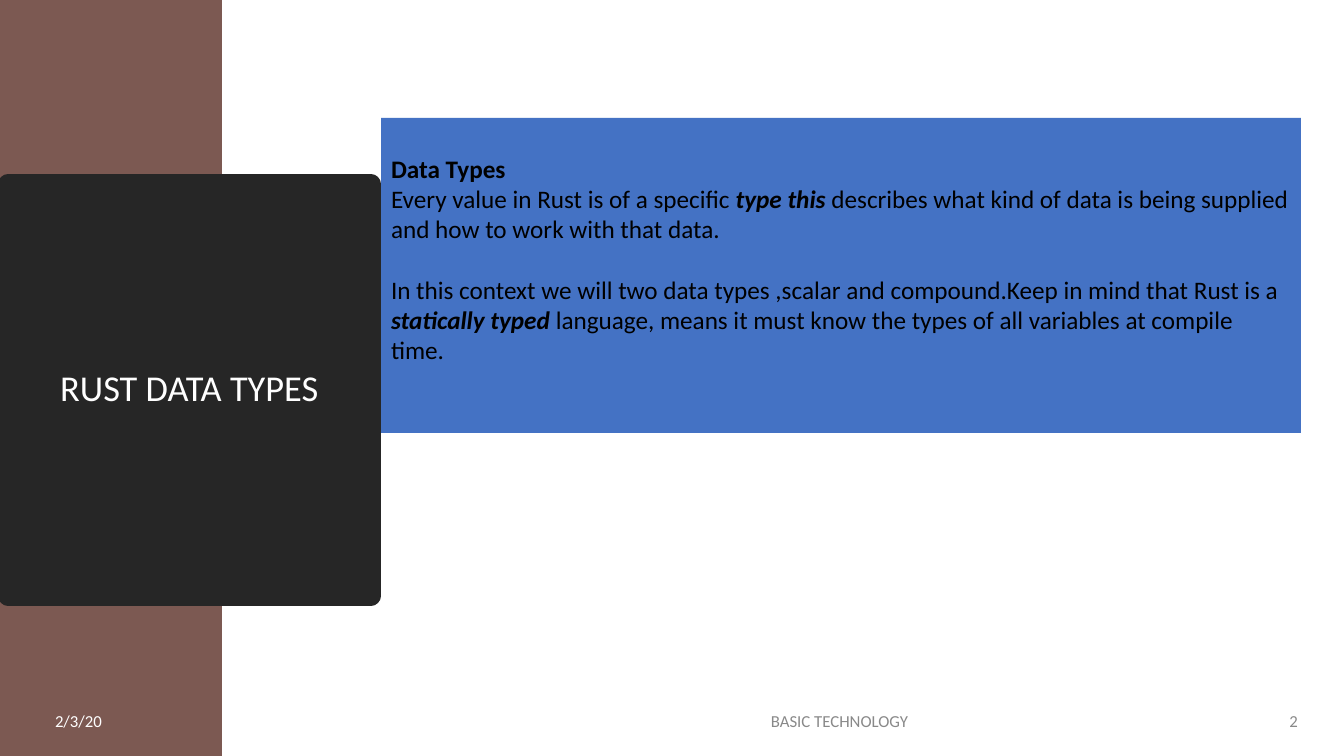
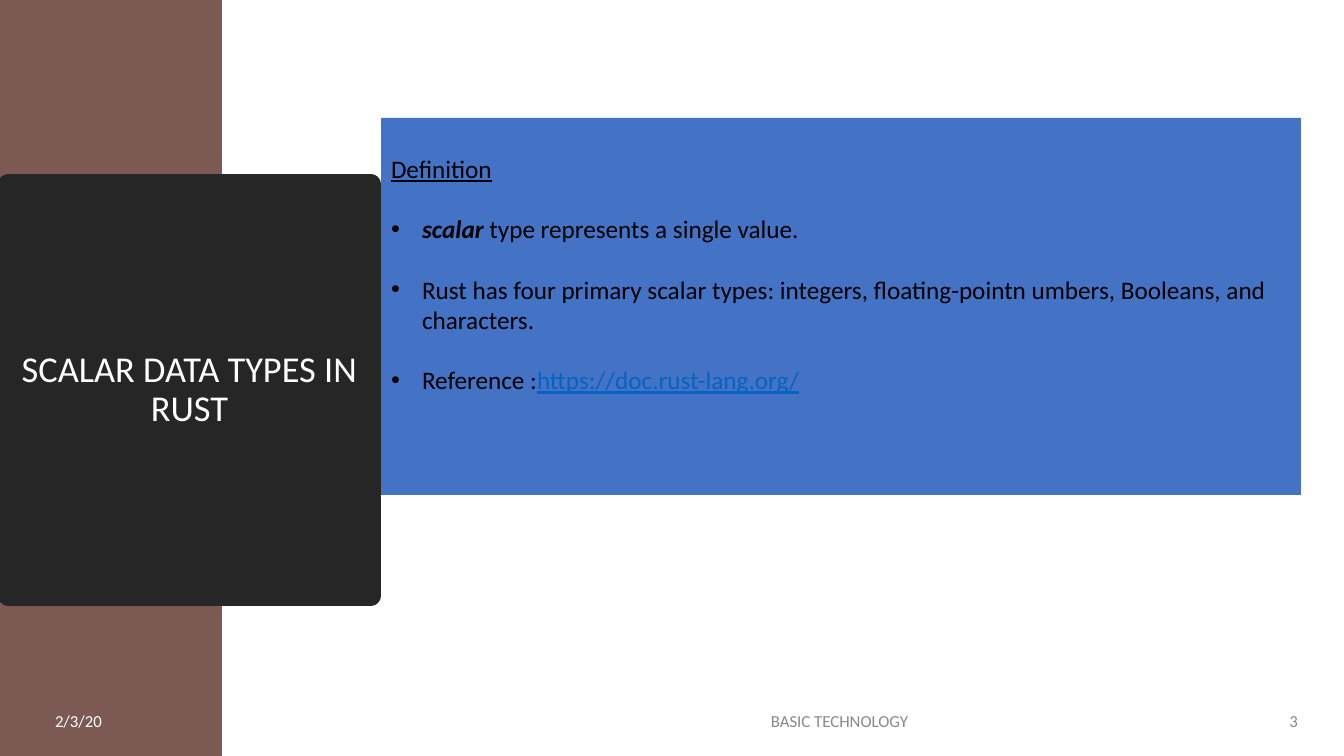
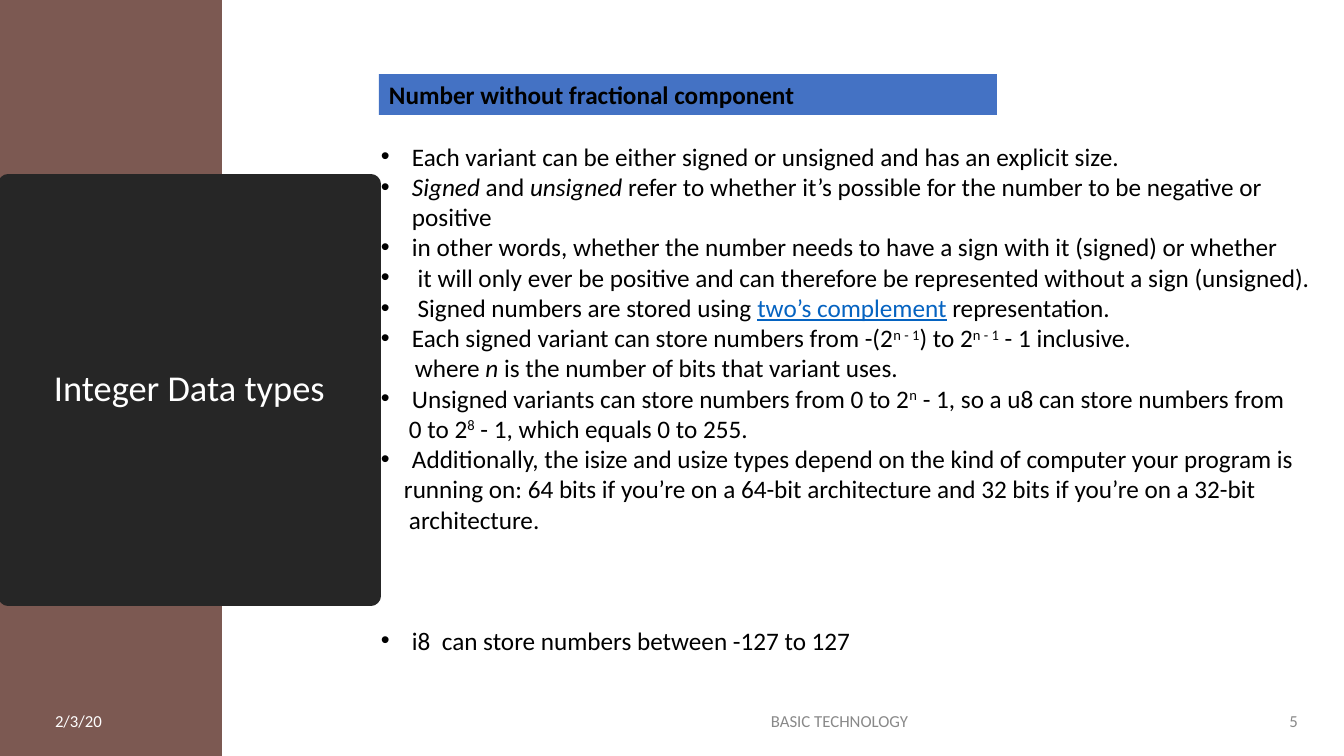
import pptx
import pptx.util
import pptx.dml.color
import pptx.enum.shapes
import pptx.enum.text
import pptx.oxml
import pptx.oxml.ns

PAGE_WIDTH, PAGE_HEIGHT = 1344, 756
EMU_PER_PX = 914400 / 100.8
FONT = "Calibri"
COLOURS = {
    "band": "7C5952",
    "title": "262626",
    "panel": "4472C4",
    "white": "FFFFFF",
    "black": "000000",
    "footer": "898989",
    "link": "0563C1",
}
BULLET_INDENT = 31
BLANK_LINE = 21.6
PANEL_TOP_INSET = 35

ALIGN = pptx.enum.text.PP_ALIGN
ANCHOR = pptx.enum.text.MSO_ANCHOR
RECTANGLE = pptx.enum.shapes.MSO_SHAPE.RECTANGLE


def px(length):
    return pptx.util.Emu(round(length * EMU_PER_PX))


def rgb(name):
    return pptx.dml.color.RGBColor.from_string(COLOURS[name])


def make_element(tag, **attributes):
    element = pptx.oxml.parse_xml(f"<a:{tag} {pptx.oxml.ns.nsdecls('a')}/>")
    for name, value in attributes.items():
        element.set(name, str(value))
    return element


def para(*spans, bullet=False, indent=0, before=0):
    """Describe a paragraph; a span is a string or a (text, style) pair."""
    return {"spans": spans, "bullet": bullet, "indent": indent, "before": before}


def bullet(*spans, before=0):
    return para(*spans, bullet=True, indent=BULLET_INDENT, before=before)


def set_indent(paragraph, indent, has_bullet):
    properties = paragraph._p.get_or_add_pPr()
    properties.set("marL", str(px(indent)))
    properties.set("indent", str(-px(indent) if has_bullet else 0))
    if has_bullet:
        properties.append(make_element("buFont", typeface="Arial"))
        properties.append(make_element("buChar", char="•"))


def add_span(paragraph, text, style, size, colour):
    span = paragraph.add_run()
    span.text = text
    font = span.font
    font.name = FONT
    font.size = pptx.util.Pt(size)
    font.bold = "bold" in style
    font.italic = "italic" in style
    font.underline = "underline" in style or "link" in style
    font.color.rgb = rgb("link" if "link" in style else colour)
    if "super" in style:
        span._r.get_or_add_rPr().set("baseline", "30000")


def write_text(box, content, size=18, colour="black", align=ALIGN.LEFT,
               anchor=ANCHOR.TOP, line_spacing=1.0, top_inset=5):
    """Fill a box with one string or a list of paragraph descriptions."""
    frame = box.text_frame
    frame.word_wrap = True
    frame.vertical_anchor = anchor
    frame.margin_left = frame.margin_right = px(10)
    frame.margin_top, frame.margin_bottom = px(top_inset), px(5)
    paragraphs = [para(content)] if isinstance(content, str) else content
    for index, item in enumerate(paragraphs):
        paragraph = frame.add_paragraph() if index else frame.paragraphs[0]
        paragraph.alignment = align
        paragraph.line_spacing = line_spacing
        if item["before"]:
            paragraph.space_before = pptx.util.Pt(item["before"])
        set_indent(paragraph, item["indent"], item["bullet"])
        for span in item["spans"]:
            text, style = (span, "") if isinstance(span, str) else span
            add_span(paragraph, text, style.split(), size, colour)


def add_block(page, left, top, width, height, fill):
    block = page.shapes.add_shape(RECTANGLE, px(left), px(top), px(width), px(height))
    block.shadow.inherit = False
    block.fill.solid()
    block.fill.fore_color.rgb = rgb(fill)
    block.line.fill.background()
    return block


def add_text(page, left, top, width, height, content, **text_format):
    box = page.shapes.add_textbox(px(left), px(top), px(width), px(height))
    write_text(box, content, **text_format)


def add_title(page, title):
    """Dark block whose thick round-joined outline softens its corners."""
    block = add_block(page, 8, 184, 363, 412, "title")
    block.line.color.rgb = rgb("title")
    block.line.width = pptx.util.Pt(13.75)
    block.line._get_or_add_ln().append(make_element("round"))
    write_text(block, title, size=26, colour="white", align=ALIGN.CENTER,
               anchor=ANCHOR.MIDDLE, line_spacing=0.9)


def add_page(deck, title, number):
    """Add a page with the shared band, title block and footers."""
    page = deck.slides.add_slide(deck.slide_layouts[6])
    add_block(page, 0, 0, 222, PAGE_HEIGHT, "band")
    add_title(page, title)
    footers = [
        (45, 163, "2/3/20", "white", ALIGN.LEFT),
        (452, 775, "BASIC TECHNOLOGY", "footer", ALIGN.CENTER),
        (1247, 61, str(number), "footer", ALIGN.RIGHT),
    ]
    for left, width, text, colour, align in footers:
        add_text(page, left, 701, width, 40, text, size=12, colour=colour,
                 align=align, anchor=ANCHOR.MIDDLE)
    return page


def add_panel(page, height, content):
    panel = add_block(page, 381, 118, 920, height, "panel")
    write_text(panel, content, top_inset=PANEL_TOP_INSET)


def build_data_types(deck):
    page = add_page(deck, "RUST DATA TYPES", 2)
    add_panel(page, 315, [
        para(("Data Types", "bold")),
        para("Every value in Rust is of a specific ", ("type this", "bold italic"),
             " describes what kind of data is being supplied and how to work with that data."),
        para("In this context we will two data types ,scalar and compound."
             "Keep in mind that Rust is a ", ("statically typed ", "bold italic"),
             "language, means it must know the types of all variables at compile time.",
             before=BLANK_LINE),
    ])


def build_scalar_types(deck):
    page = add_page(deck, "SCALAR DATA TYPES IN RUST", 3)
    add_panel(page, 377, [
        para(("Definition", "underline")),
        bullet(("scalar ", "bold italic"), "type represents a single value.",
               before=BLANK_LINE),
        bullet("Rust has four primary scalar types: integers, floating-pointn umbers, "
               "Booleans, and characters.", before=BLANK_LINE),
        bullet("Reference :", ("https://doc.rust-lang.org/", "link"), before=BLANK_LINE),
    ])


def build_integer_types(deck):
    page = add_page(deck, "Integer Data types", 5)
    heading = add_block(page, 379, 74, 618, 41, "panel")
    write_text(heading, [para(("Number without fractional component", "bold"))])
    add_text(page, 371, 136, 953, 529, [
        bullet("Each variant can be either signed or unsigned and has an explicit size."),
        bullet(("Signed", "italic"), " and ", ("unsigned", "italic"),
               " refer to whether it’s possible for the number to be negative or positive"),
        bullet("in other words, whether the number needs to have a sign with it "
               "(signed) or whether"),
        bullet(" it will only ever be positive and can therefore be represented "
               "without a sign (unsigned)."),
        bullet(" Signed numbers are stored using ", ("two’s complement", "link"),
               " representation."),
        bullet("Each signed variant can store numbers from -(2", ("n - 1", "super"),
               ") to 2", ("n - 1", "super"), " - 1 inclusive."),
        para("where ", ("n", "italic"), " is the number of bits that variant uses.",
             indent=34),
        bullet("Unsigned variants can store numbers from 0 to 2", ("n", "super"),
               " - 1, so a u8 can store numbers from"),
        para("0 to 2", ("8", "super"), " - 1, which equals 0 to 255.", indent=28),
        bullet("Additionally, the isize and usize types depend on the kind of computer "
               "your program is"),
        para("running on: 64 bits if you’re on a 64-bit architecture and 32 bits "
             "if you’re on a 32-bit", indent=23),
        para("architecture.", indent=28),
        bullet("i8  can store numbers between -127 to 127", before=3 * BLANK_LINE),
    ])


def main():
    deck = pptx.Presentation()
    deck.slide_width, deck.slide_height = px(PAGE_WIDTH), px(PAGE_HEIGHT)
    build_data_types(deck)
    build_scalar_types(deck)
    build_integer_types(deck)
    deck.save("out.pptx")


if __name__ == "__main__":
    main()
